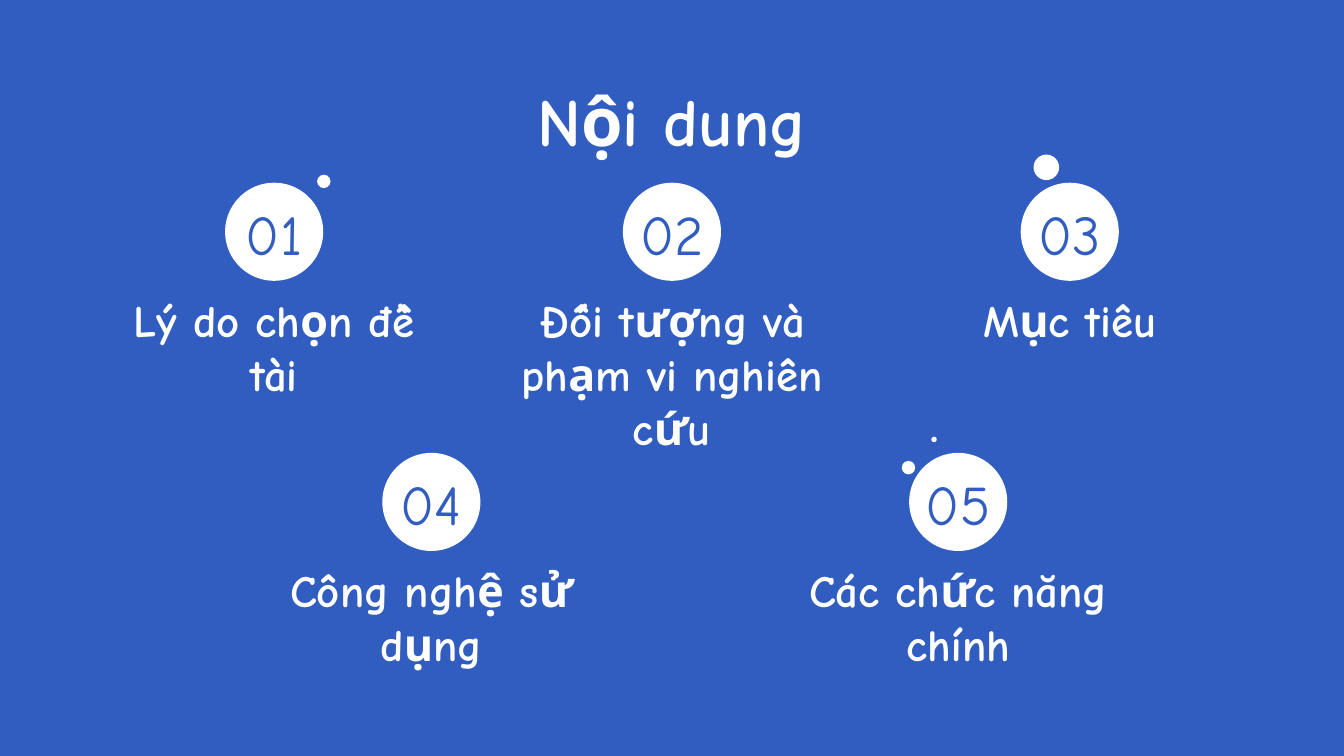
from pptx import Presentation
from pptx.dml.color import RGBColor
from pptx.enum.shapes import MSO_SHAPE
from pptx.enum.text import MSO_ANCHOR, PP_ALIGN
from pptx.util import Inches, Pt

COLORS = {"blue": "305DBF", "white": "FFFFFF"}
FONT = "Comic Neue"
SLIDE_WIDTH = 10
CIRCLE_SIZE = 0.73
LABEL_WIDTH = 2.65
LABEL_HEIGHT = 0.46
FORMATS = {
    "title": {"size": Pt(36), "bold": True, "name": FONT},
    "label": {"size": Pt(24), "bold": True, "name": FONT},
    "number": {"size": Pt(30), "bold": False, "name": FONT},
}
ROWS = [
    (1.36, 2.04, 2.96, ["Lý do chọn đề tài", "Đối tượng và phạm vi nghiên cứu", "Mục tiêu"]),
    (3.37, 3.21, 3.92, ["Công nghệ sử dụng", "Các chức năng chính"]),
]
DOTS = [(2.36, 1.3, 0.1), (6.71, 3.43, 0.1), (6.93, 3.25, 0.04), (7.69, 1.15, 0.19)]


def write_text(shape, text, style, color, margin, anchor):
    frame = shape.text_frame
    settings = {
        "word_wrap": True,
        "vertical_anchor": anchor,
        **{f"margin_{side}": Inches(margin) for side in ("left", "top", "right", "bottom")},
    }
    for name, value in settings.items():
        setattr(frame, name, value)
    paragraph = frame.paragraphs[0]
    paragraph.alignment = PP_ALIGN.CENTER
    run = paragraph.add_run()
    run.text = text
    for name, value in FORMATS[style].items():
        setattr(run.font, name, value)
    run.font.color.rgb = RGBColor.from_string(COLORS[color])


def add_circle(slide, left, top, size):
    shape = slide.shapes.add_shape(
        MSO_SHAPE.OVAL, Inches(left), Inches(top), Inches(size), Inches(size)
    )
    shape.shadow.inherit = False
    shape.fill.solid()
    shape.fill.fore_color.rgb = RGBColor.from_string(COLORS["white"])
    shape.line.fill.background()
    return shape


def add_text(slide, left, top, width, height, text, style):
    shape = slide.shapes.add_textbox(Inches(left), Inches(top), Inches(width), Inches(height))
    write_text(shape, text, style, "white", 0.1, MSO_ANCHOR.TOP)


def add_topic(slide, center, top, number, label):
    circle = add_circle(slide, center - CIRCLE_SIZE / 2, top, CIRCLE_SIZE)
    write_text(circle, f"{number:02}", "number", "blue", 0, MSO_ANCHOR.BOTTOM)
    add_text(
        slide, center - LABEL_WIDTH / 2, top + 0.72, LABEL_WIDTH, LABEL_HEIGHT, label, "label"
    )


def main():
    presentation = Presentation()
    presentation.slide_width = Inches(SLIDE_WIDTH)
    presentation.slide_height = Inches(SLIDE_WIDTH * 9 / 16)
    slide = presentation.slides.add_slide(presentation.slide_layouts[6])
    slide.background.fill.solid()
    slide.background.fill.fore_color.rgb = RGBColor.from_string(COLORS["blue"])

    add_text(slide, 0.34, 0.49, 9.32, 0.63, "Nội dung", "title")
    number = 1
    for top, first_center, pitch, labels in ROWS:
        for column, label in enumerate(labels):
            add_topic(slide, first_center + column * pitch, top, number, label)
            number += 1
    for left, top, size in DOTS:
        add_circle(slide, left, top, size)

    presentation.save("out.pptx")


if __name__ == "__main__":
    main()
